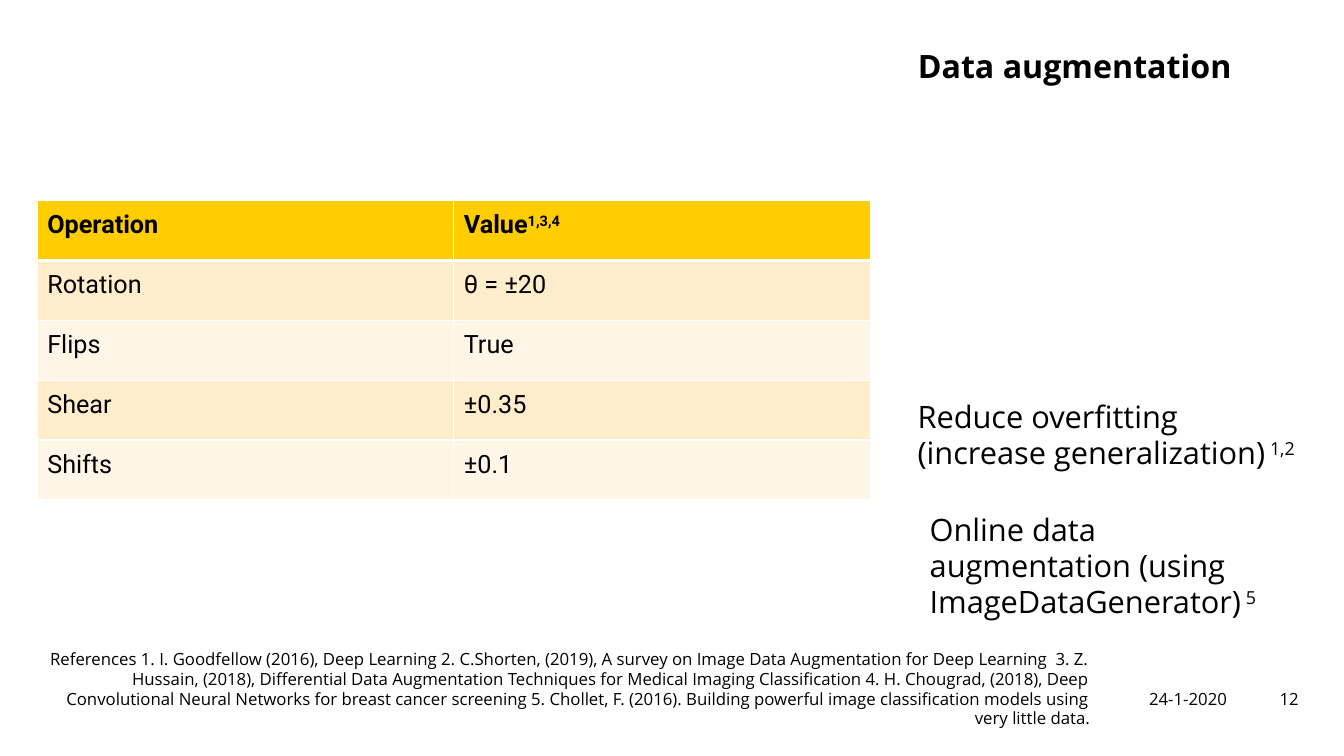
from dataclasses import dataclass

import lxml.etree
import pptx
import pptx.dml.color
import pptx.enum.text
import pptx.oxml.ns
import pptx.util


@dataclass(frozen=True)
class Theme:
    ink: str = "000000"
    paper: str = "FFFFFF"
    header: str = "FFCD00"
    bands: tuple = ("FFEDCC", "FFF6E7")
    text_font: str = "Open Sans"
    table_font: str = "Roboto"
    title_size: int = 23
    body_size: int = 22
    table_size: int = 18
    small_size: int = 12


theme = Theme()
align = pptx.enum.text.PP_ALIGN
anchor = pptx.enum.text.MSO_ANCHOR

deck = pptx.Presentation()
deck.slide_width = pptx.util.Inches(13.34)
deck.slide_height = pptx.util.Inches(7.5)
page = deck.slides.add_slide(deck.slide_layouts[5])


def place(left, top, width, height):
    column, row = deck.slide_width / 100, deck.slide_height / 100
    return [round(n) for n in (left * column, top * row, width * column, height * row)]


def write(frame, text, raised="", size=theme.small_size, font=theme.text_font, bold=False,
          side=align.LEFT, spacing=1.0, before=0, indent=0, add=False):
    para = frame.add_paragraph() if add else frame.paragraphs[0]
    para.alignment = side
    para.line_spacing = spacing
    para.space_before = pptx.util.Pt(before)
    if indent:
        properties = para._p.get_or_add_pPr()
        properties.set("marL", str(pptx.util.Inches(indent)))
        properties.set("indent", "0")
    for words, baseline in ((text, 0), (raised, 30000)):
        if words:
            span = para.add_run()
            span.text = words
            span.font.name = font
            span.font.size = pptx.util.Pt(size)
            span.font.bold = bold
            span.font.color.rgb = pptx.dml.color.RGBColor.from_string(theme.ink)
            if baseline:
                span.font._element.set("baseline", str(baseline))


title = page.shapes.title
title.left, title.top, title.width, title.height = place(67.54, 5.47, 29.69, 15.73)
title.text_frame.auto_size = pptx.enum.text.MSO_AUTO_SIZE.NONE
title.text_frame.vertical_anchor = anchor.TOP
write(title.text_frame, "Data augmentation", size=theme.title_size, bold=True)

body = page.shapes.add_textbox(*place(67.54, 23.73, 29.69, 63.47)).text_frame
body.word_wrap = True
body.vertical_anchor = anchor.BOTTOM
body.margin_right = pptx.util.Inches(0.05)
body.margin_bottom = pptx.util.Inches(0.38)
write(body, "Reduce overfitting (increase generalization)", " 1,2",
      size=theme.body_size, spacing=0.98)
write(body, "Online data augmentation (using ImageDataGenerator)", " 5",
      size=theme.body_size, spacing=0.98, before=29, indent=0.12, add=True)

references = (
    "References 1. I. Goodfellow (2016), Deep Learning 2. C.Shorten, (2019), "
    "A survey on Image Data Augmentation for Deep Learning  3. Z. Hussain, (2018), "
    "Differential Data Augmentation Techniques for Medical Imaging Classification "
    "4. H. Chougrad, (2018), Deep Convolutional Neural Networks for breast cancer screening "
    "5. Chollet, F. (2016). Building powerful image classification models using very little data."
)
footers = [
    (references, 2.77, 78.34, 5.87, 0.22, 0.97),
    ("24-1-2020", 84.48, 6.82, 5.33, 0, 1.0),
    ("12", 91.38, 5.25, 5.47, 0, 1.0),
]
for text, left, width, height, bottom, spacing in footers:
    footer = page.shapes.add_textbox(*place(left, 89.73, width, height)).text_frame
    footer.word_wrap = True
    footer.vertical_anchor = anchor.MIDDLE
    footer.margin_left = footer.margin_right = footer.margin_top = 0
    footer.margin_bottom = pptx.util.Inches(bottom)
    write(footer, text, side=align.RIGHT, spacing=spacing)

operations = [
    ("Operation", "Value"),
    ("Rotation", "θ = ±20"),
    ("Flips", "True"),
    ("Shear", "±0.35"),
    ("Shifts", "±0.1"),
]
table = page.shapes.add_table(len(operations), 2, *place(2.77, 26.53, 62, 39.6)).table
for row, values in enumerate(operations):
    for column, value in enumerate(values):
        cell = table.cell(row, column)
        cell.margin_left = cell.margin_right = pptx.util.Inches(0.1)
        cell.margin_top = cell.margin_bottom = pptx.util.Inches(0.1)
        heading = row == 0
        write(cell.text_frame, value, "1,3,4" if value == "Value" else "",
              size=theme.table_size, font=theme.table_font, bold=heading)
        properties = cell._tc.get_or_add_tcPr()
        for edge in ("lnL", "lnR", "lnT", "lnB"):
            thick = (heading and edge == "lnB") or (row == 1 and edge == "lnT")
            line = lxml.etree.SubElement(properties, pptx.oxml.ns.qn("a:" + edge),
                                         w=str(pptx.util.Pt(3 if thick else 1)))
            paint = lxml.etree.SubElement(line, pptx.oxml.ns.qn("a:solidFill"))
            lxml.etree.SubElement(paint, pptx.oxml.ns.qn("a:srgbClr"), val=theme.paper)
        cell.fill.solid()
        shade = theme.header if heading else theme.bands[(row - 1) % 2]
        cell.fill.fore_color.rgb = pptx.dml.color.RGBColor.from_string(shade)

deck.save("out.pptx")
